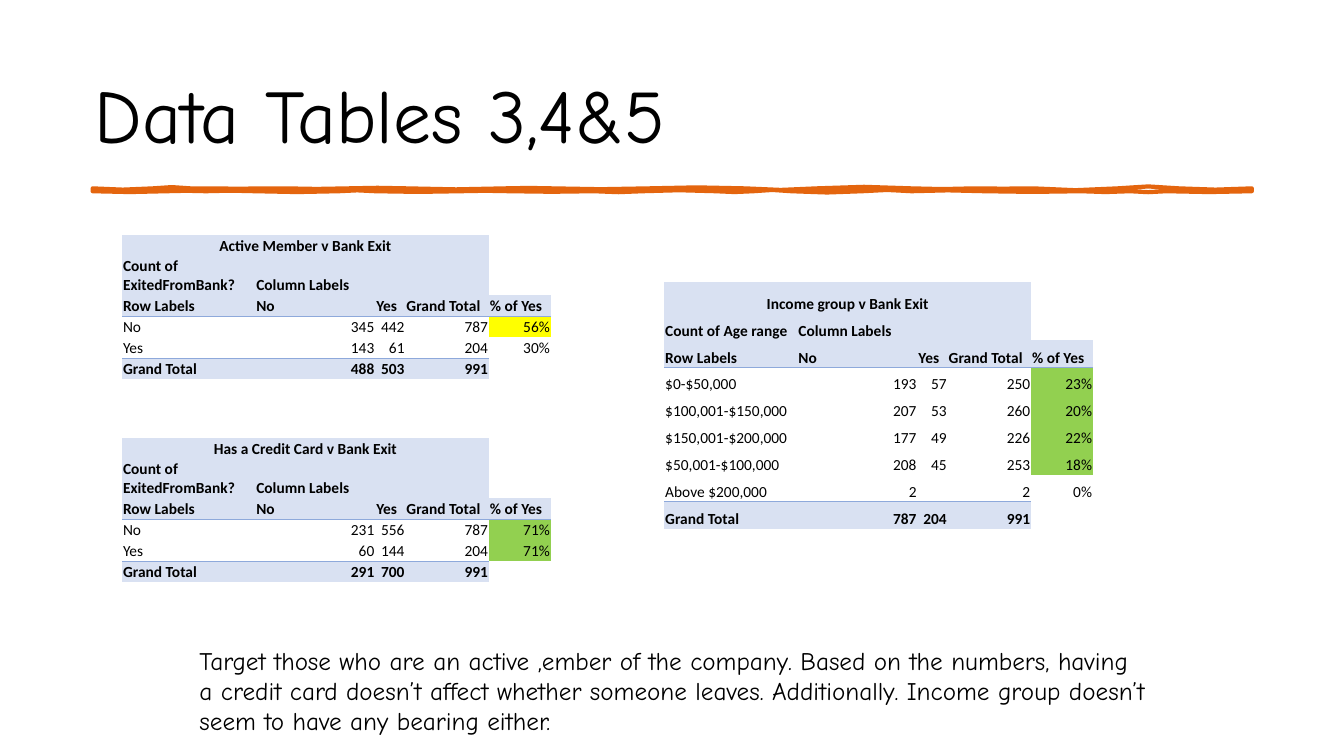
from dataclasses import dataclass

from lxml.etree import SubElement
from pptx import Presentation
from pptx.dml.color import RGBColor
from pptx.enum.text import MSO_ANCHOR, MSO_AUTO_SIZE, PP_ALIGN
from pptx.oxml import parse_xml
from pptx.oxml.ns import nsdecls, qn
from pptx.util import Pt


@dataclass(frozen=True)
class Theme:
    """Colours, fonts and type sizes."""
    ink: str = "000000"
    rule: str = "E4650E"
    band: str = "D9E1F2"
    edge: str = "8EA9DB"
    gold: str = "FFFF00"
    green: str = "92D050"
    hand: str = "Comic Neue"
    sans: str = "Calibri"
    head: int = 54
    note: int = 18
    cell: int = 11


THEME = Theme()
COLS = (95.2, 85.7, 21.6, 59.6, 44.2)
NO_STYLE = "{2D5ABB26-0587-4C30-8999-92F81FD0307C}"
LABELS = ("Row Labels", "No", "Yes", "Grand Total", "% of Yes")

TOP = ((43, 0.9), (70, -0.9), (138, 0.2), (182, 0.4), (225, -0.4),
       (294, 0.7), (329, -0.3), (397, 0.6), (466, -0.7), (517, 1.1),
       (585, -1.1), (629, 0.5), (672, 0.2), (732, 1.3), (776, -1.4),
       (828, 0.9))
BASE = ((767, 0.6), (741, 0.7), (706, 0.6), (637, 0.5), (585, -0.6),
        (550, -0.9), (499, 0.9), (472, -0.9), (445, 0.6), (393, -0.7),
        (358, 0.7), (298, 0.4), (263, -0.3), (202, 0.5), (176, -0.6),
        (116, 0.6), (81, -0.4), (53, -0.3), (0, 0.6))


def tint(text):
    """Turn a hex string into a colour."""
    return RGBColor.from_string(text)


def style(para, name, size, bold=False):
    """Format every run of a paragraph."""
    for run in para.runs:
        font = run.font
        font.name, font.size, font.bold = name, Pt(size), bold
        font.color.rgb = tint(THEME.ink)


def wave(start, y, swings):
    """List the crest and the end of each swing, in hundredths."""
    points = []
    for end, swing in swings:
        points.append((50 * (start + end), 100 * (y + swing)))
        points.append((100 * end, 100 * y))
        start = end
    return points


def add_rule(slide, left, top, depth):
    """Draw the hand-drawn rule below the title."""
    width = TOP[-1][0]
    points = wave(0, 0, TOP) + [(100 * width, 100 * depth)]
    points += wave(width, depth, BASE)
    pen = slide.shapes.build_freeform(0, 0, scale=Pt(1) / 100)
    pen.add_line_segments(points, close=True)
    rule = pen.convert_to_shape(Pt(left), Pt(top))
    rule.shadow.inherit = False
    rule.fill.background()
    rule.line.color.rgb = tint(THEME.rule)
    rule.line.width = Pt(3)
    SubElement(rule.line._get_or_add_ln(), qn("a:round"))


def add_title(slide, left, top, width, height):
    """Place the title in its placeholder."""
    title = slide.shapes.title
    title.left, title.top = Pt(left), Pt(top)
    title.width, title.height = Pt(width), Pt(height)
    frame = title.text_frame
    frame.text = "Data Tables 3,4&5"
    frame.word_wrap = True
    frame.auto_size = MSO_AUTO_SIZE.NONE
    frame.vertical_anchor = MSO_ANCHOR.MIDDLE
    para = frame.paragraphs[0]
    para.alignment = PP_ALIGN.LEFT
    style(para, THEME.hand, THEME.head)


def add_edges(cell, drawn):
    """Set all four borders; only the drawn sides show."""
    props = cell._tc.get_or_add_tcPr()
    for spot, side in enumerate(("lnL", "lnR", "lnT", "lnB")):
        ink = "<a:noFill/>"
        if side in drawn:
            ink = (f'<a:solidFill><a:srgbClr val="{THEME.edge}"/>'
                   '</a:solidFill>')
        props.insert(spot, parse_xml(
            f'<a:{side} {nsdecls("a")} w="6350">{ink}</a:{side}>'))


def set_cell(cell, text, align, bold, fill):
    """Fill in one cell."""
    cell.margin_left = cell.margin_right = cell.margin_top = Pt(0.7)
    cell.margin_bottom = Pt(0)
    cell.vertical_anchor = MSO_ANCHOR.BOTTOM
    para = cell.text_frame.paragraphs[0]
    if text:
        para.text = text
        para.alignment = align
        style(para, THEME.sans, THEME.cell, bold)
    else:
        SubElement(para._p, qn("a:endParaRPr"), sz=str(THEME.cell * 100))
    if fill:
        cell.fill.solid()
        cell.fill.fore_color.rgb = tint(fill)
    else:
        cell.fill.background()


def add_pivot(slide, left, top, heights, name, count, data, marks):
    """Build one pivot table; marks colour its percentages."""
    rows = [(name, "", "", "", ""), (count, "Column Labels", "", "", ""),
            LABELS, *data]
    last = len(rows) - 1
    frame = slide.shapes.add_table(len(rows), len(COLS), Pt(left), Pt(top),
                                   Pt(sum(COLS)), Pt(sum(heights)))
    table = frame.table
    table.first_row = table.horz_banding = False
    table._tbl.tblPr.find(qn("a:tableStyleId")).text = NO_STYLE
    for col, width in zip(table.columns, COLS):
        col.width = Pt(width)
    for row, height in zip(table.rows, heights):
        row.height = Pt(height)
    table.cell(0, 0).merge(table.cell(0, 3))
    for r, row in enumerate(rows):
        band = r < 3 or r == last
        for c, text in enumerate(row):
            cell = table.cell(r, c)
            if r == 0:
                align = PP_ALIGN.CENTER
            elif r > 2 and c:
                align = PP_ALIGN.RIGHT
            else:
                align = PP_ALIGN.LEFT
            fill = THEME.band if band and (c < 4 or r == 2) else None
            if c == 4 and 2 < r < last:
                fill = marks[r - 3]
            set_cell(cell, text, align, band, fill)
            drawn = []
            if r == 3 or r == last and c < 4:
                drawn.append("lnT")
            if r == 2 or r == last - 1 and c < 4:
                drawn.append("lnB")
            add_edges(cell, drawn)


def add_note(slide, left, top, width, height):
    """Write the conclusion below the tables."""
    box = slide.shapes.add_textbox(Pt(left), Pt(top), Pt(width), Pt(height))
    frame = box.text_frame
    frame.word_wrap = True
    frame.auto_size = MSO_AUTO_SIZE.SHAPE_TO_FIT_TEXT
    frame.text = (
        "Target those who are an active ,ember of the company. Based on the "
        "numbers, having a credit card doesn’t affect whether someone "
        "leaves. Additionally. Income group doesn’t seem to have any "
        "bearing either.")
    style(frame.paragraphs[0], THEME.hand, THEME.note)


def main():
    """Build the slide and save it."""
    deck = Presentation()
    deck.slide_width, deck.slide_height = Pt(960), Pt(540)
    slide = deck.slides.add_slide(deck.slide_layouts[5])
    add_rule(slide, 66.2, 134.6, 2)
    add_title(slide, 60.5, 28.8, 828, 104.4)
    exits = "Count of ExitedFromBank?"
    add_pivot(slide, 87.2, 167.8, [15] * 6, "Active Member v Bank Exit", exits,
              (("No", "345", "442", "787", "56%"),
               ("Yes", "143", "61", "204", "30%"),
               ("Grand Total", "488", "503", "991", "")),
              (THEME.gold, None))
    add_pivot(slide, 87.2, 312.8, [15] * 6, "Has a Credit Card v Bank Exit",
              exits,
              (("No", "231", "556", "787", "71%"),
               ("Yes", "60", "144", "204", "71%"),
               ("Grand Total", "291", "700", "991", "")),
              [THEME.green] * 2)
    add_pivot(slide, 474.5, 201.2, [22.8] + [19.2] * 8,
              "Income group v Bank Exit", "Count of Age range",
              (("$0-$50,000", "193", "57", "250", "23%"),
               ("$100,001-$150,000", "207", "53", "260", "20%"),
               ("$150,001-$200,000", "177", "49", "226", "22%"),
               ("$50,001-$100,000", "208", "45", "253", "18%"),
               ("Above $200,000", "2", "", "2", "0%"),
               ("Grand Total", "787", "204", "991", "")),
              [THEME.green] * 4 + [None])
    add_note(slide, 135.4, 457.2, 689.8, 51.1)
    deck.save("out.pptx")


if __name__ == "__main__":
    main()
